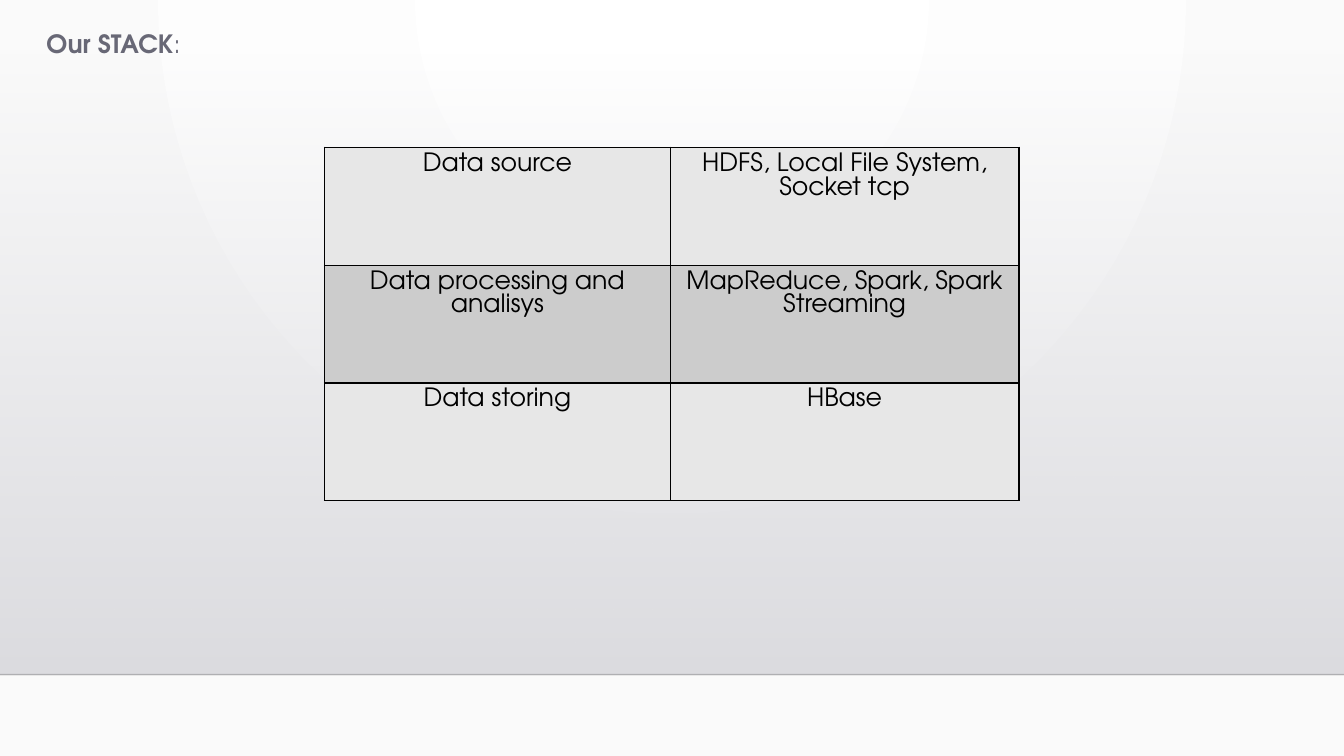
from lxml.etree import SubElement
from pptx import Presentation
from pptx.dml.color import RGBColor as RGB
from pptx.enum.shapes import MSO_CONNECTOR as CONN, MSO_SHAPE as SHAPE
from pptx.enum.text import MSO_ANCHOR as ANCHOR, MSO_AUTO_SIZE as AUTO, PP_ALIGN as ALIGN
from pptx.oxml.ns import qn
from pptx.util import Cm, Pt

COLORS = {
    "white": "FFFFFF", "off_white": "FAFAFA", "mist": "DCDCE0", "haze": "DEDEE2",
    "title": "686876", "black": "000000", "rule": "000001",
    "light": "E7E7E7", "dark": "CCCCCC",
}
FORMATS = {
    "title": {"size": Pt(18), "name": "TeX Gyre Adventor"},
    "cell": {"size": Pt(18), "name": "TeX Gyre Adventor", "bold": False},
}
STACK = [
    ("Data source", "HDFS, Local File System, Socket tcp"),
    ("Data processing and analisys", "MapReduce, Spark, Spark Streaming"),
    ("Data storing", "HBase"),
]


def add(parent, tag, **attrs):
    return SubElement(parent, qn(tag), {k: str(v) for k, v in attrs.items()})


class StackSlide:
    def __init__(self, prs):
        self.s = prs.slides.add_slide(prs.slide_layouts[5])

    def color(self, name):
        return RGB.from_string(COLORS[name])

    def run(self, p, text, style, color, **extra):
        r = p.add_run()
        r.text = text
        for key, value in {**FORMATS[style], **extra}.items():
            setattr(r.font, key, value)
        r.font.color.rgb = self.color(color)

    def gradient(self, owner, fill, stops):
        fill.gradient()
        grad = owner.element.find(".//" + qn("a:gradFill"))
        for child in list(grad):
            grad.remove(child)
        gs_list = add(grad, "a:gsLst")
        for pos, name, alpha in stops:
            gs = add(gs_list, "a:gs", pos=pos * 1000)
            clr = add(gs, "a:srgbClr", val=COLORS[name])
            if alpha < 100:
                add(clr, "a:alpha", val=alpha * 1000)
        return grad

    def background(self):
        stops = [(0, "white", 100), (100, "off_white", 100)]
        grad = self.gradient(self.s, self.s.background.fill, stops)
        circle = add(grad, "a:path", path="circle")
        add(circle, "a:fillToRect", l=50000, t=0, r=50000, b=100000)

    def panel(self, x, y, w, h):
        sp = self.s.shapes.add_shape(SHAPE.RECTANGLE, Cm(x), Cm(y), Cm(w), Cm(h))
        sp.shadow.inherit = False
        sp.line.fill.background()
        grad = self.gradient(sp, sp.fill, [(0, "mist", 0), (100, "haze", 100)])
        add(grad, "a:lin", ang=5400000, scaled=0)

    def rule(self, x1, y, x2):
        line = self.s.shapes.add_connector(CONN.STRAIGHT, Cm(x1), Cm(y), Cm(x2), Cm(y))
        line.line.width = Pt(1)
        line.line.color.rgb = self.color("rule")
        sp_pr = line.element.spPr
        add(sp_pr.find(".//" + qn("a:srgbClr")), "a:alpha", val=20000)
        add(sp_pr, "a:effectLst")

    def title(self, parts, x, y, w, h):
        sp = self.s.shapes.title
        sp.left, sp.top, sp.width, sp.height = Cm(x), Cm(y), Cm(w), Cm(h)
        tf = sp.text_frame
        tf.word_wrap, tf.auto_size = True, AUTO.SHAPE_TO_FIT_TEXT
        tf.vertical_anchor = ANCHOR.MIDDLE
        p = tf.paragraphs[0]
        p.alignment = ALIGN.CENTER
        for text, bold in parts:
            self.run(p, text, "title", "title", bold=bold)

    def borders(self, cell):
        tc_pr = cell._tc.get_or_add_tcPr()
        for i, side in enumerate(("a:lnL", "a:lnR", "a:lnT", "a:lnB")):
            ln = add(tc_pr, side, w=Pt(1))
            add(add(ln, "a:solidFill"), "a:srgbClr", val=COLORS["black"])
            tc_pr.insert(i, ln)

    def table(self, rows, x, y, widths, row_height):
        frame = self.s.shapes.add_table(
            len(rows), len(widths), Cm(x), Cm(y), Cm(sum(widths)), Cm(row_height * len(rows)))
        table = frame.table
        table.first_row = table.horz_banding = False
        for col, width in zip(table.columns, widths):
            col.width = Cm(width)
        for i, texts in enumerate(rows):
            table.rows[i].height = Cm(row_height)
            for j, text in enumerate(texts):
                cell = table.cell(i, j)
                cell.fill.solid()
                cell.fill.fore_color.rgb = self.color("dark" if i % 2 else "light")
                self.borders(cell)
                p = cell.text_frame.paragraphs[0]
                p.alignment, p.line_spacing = ALIGN.CENTER, Pt(17)
                self.run(p, text, "cell", "black")


def main():
    prs = Presentation()
    prs.slide_width, prs.slide_height = Cm(33.87), Cm(19.05)
    slide = StackSlide(prs)
    slide.background()
    slide.panel(0, 1.3, 33.87, 15.7)
    slide.rule(0, 17, 33.87)
    slide.title([("Our STACK", True), (":", False)], 0, 0.58, 5.72, 1.02)
    slide.table(STACK, 8.18, 3.71, (8.71, 8.79), 2.97)
    prs.save("out.pptx")


if __name__ == "__main__":
    main()
